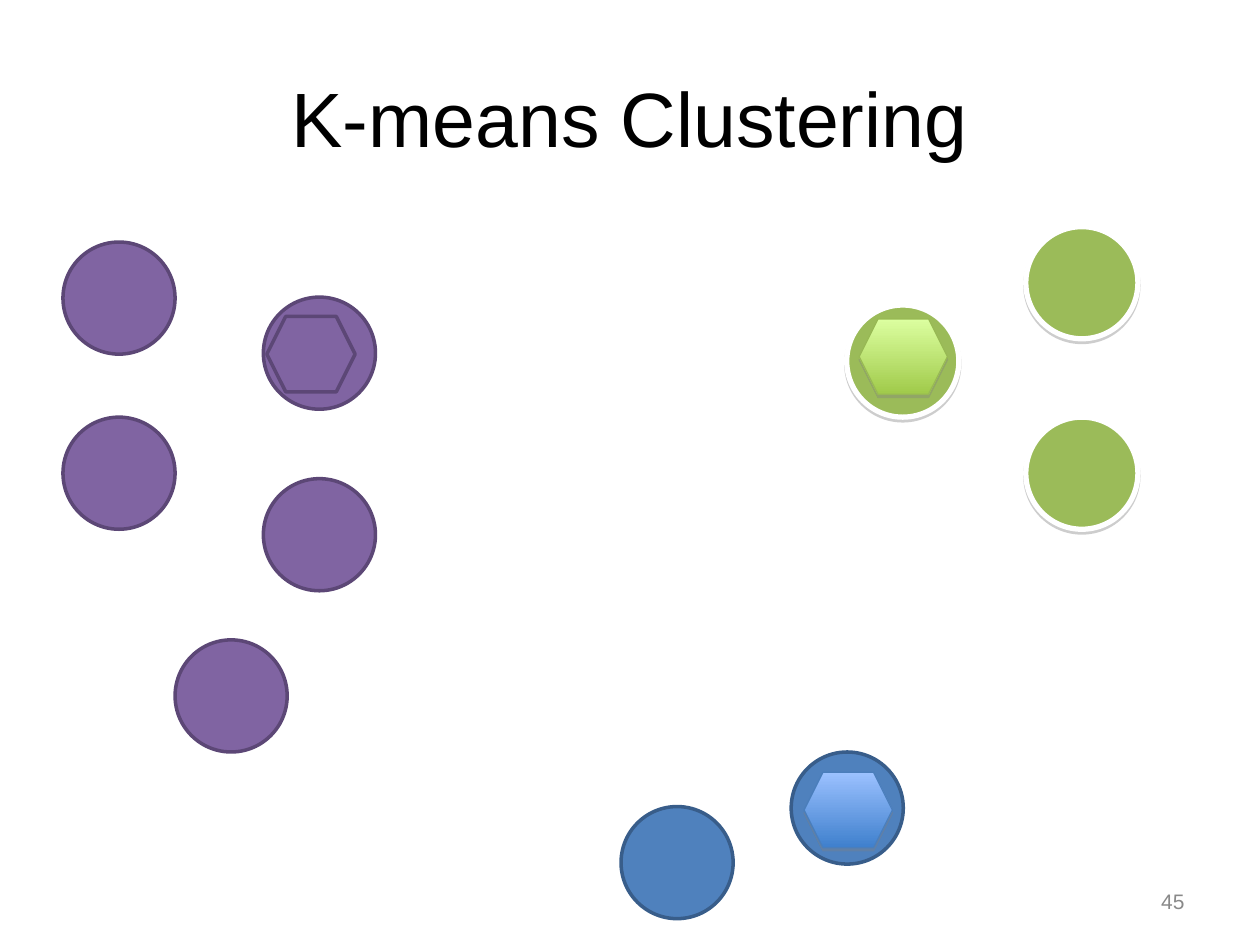
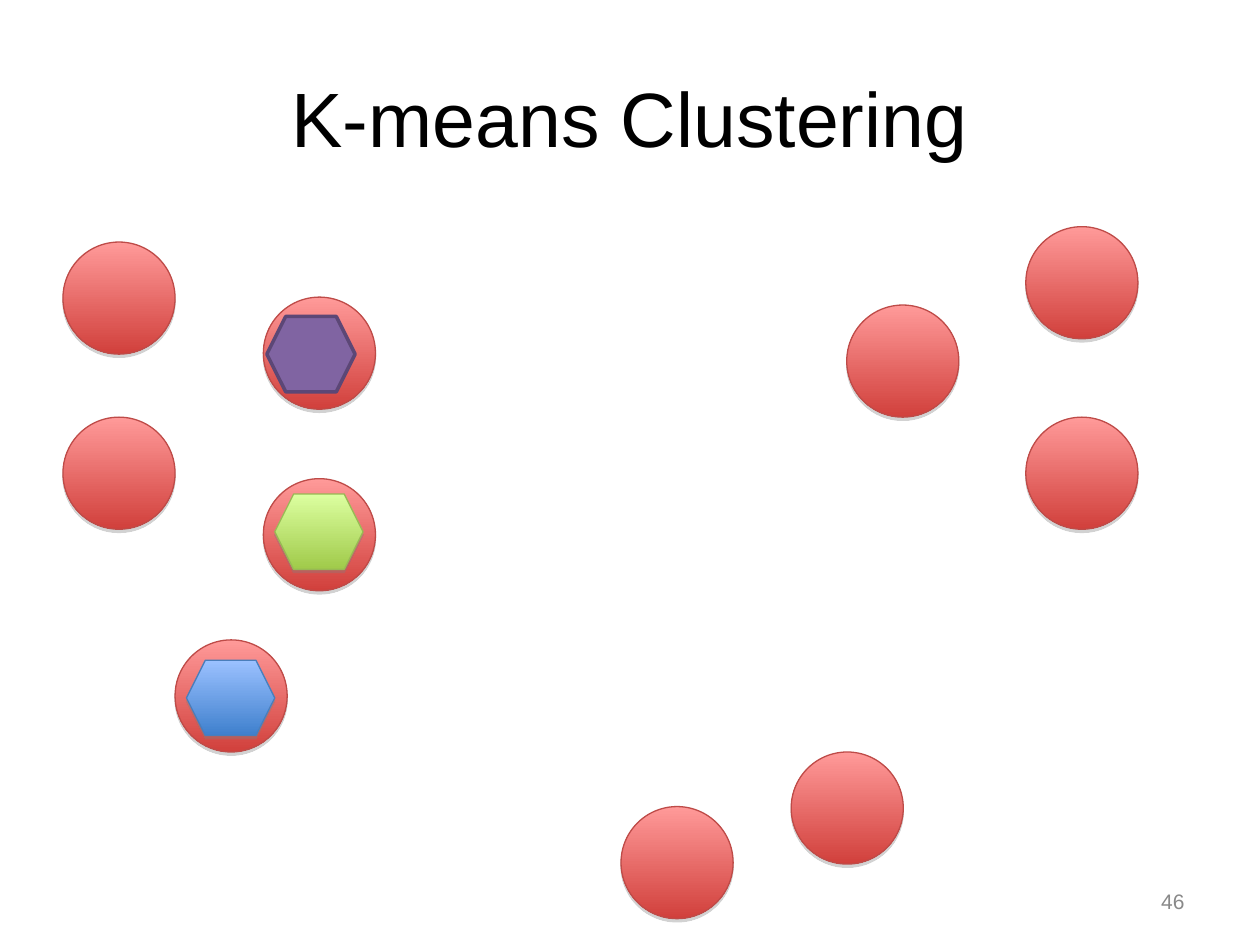
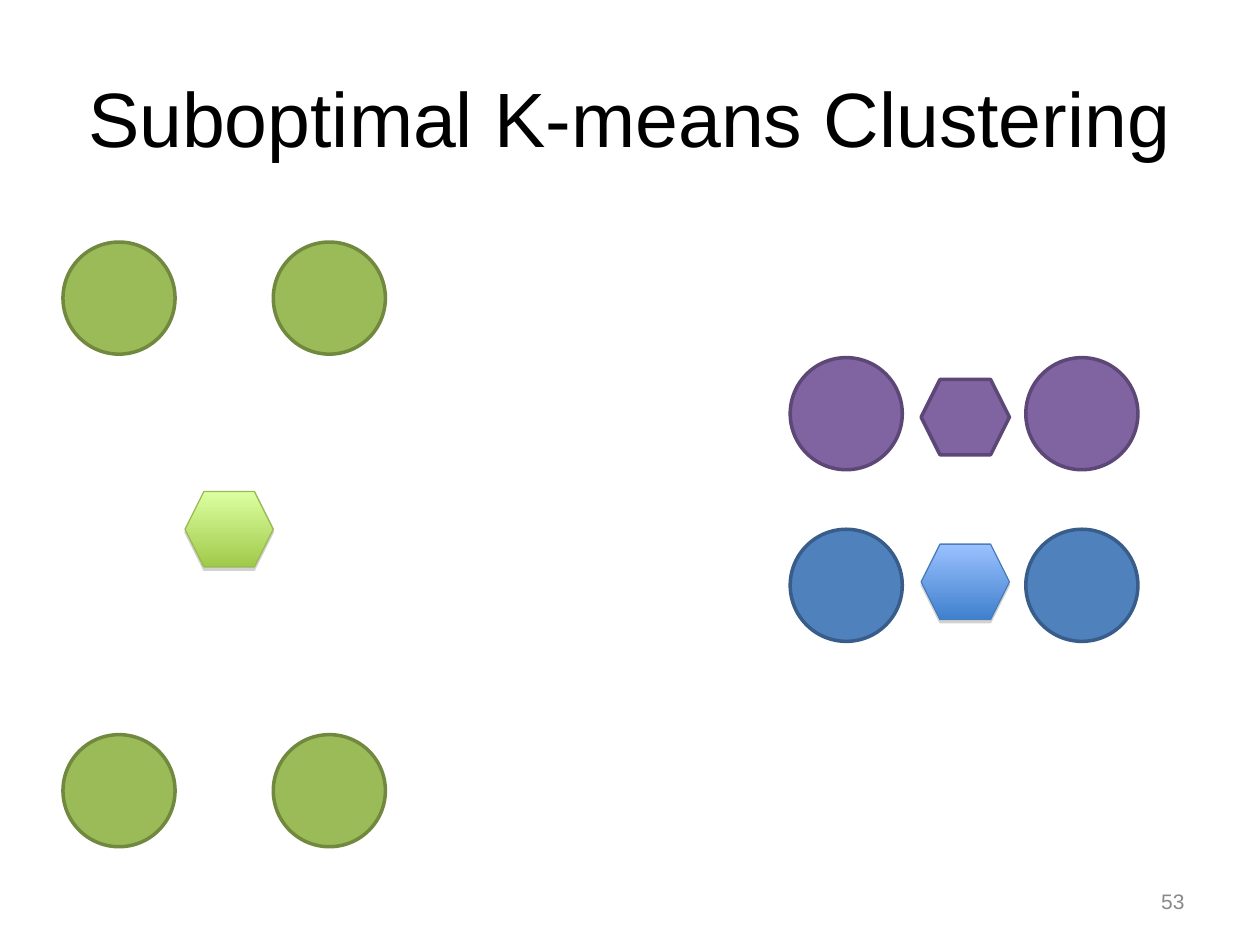
from dataclasses import dataclass
from typing import Optional

from lxml.etree import SubElement
from pptx import Presentation
from pptx.dml.color import RGBColor
from pptx.enum.shapes import MSO_SHAPE as Preset
from pptx.enum.text import MSO_ANCHOR as Anchor, PP_ALIGN as Align
from pptx.oxml.ns import qn
from pptx.util import Cm, Pt

FONT = "Arial"
BLACK, GREY, SHADOW = "000000", "898989", "808080"

# Boxes and sizes in cm: (left, top, width, height) and (width, height)
TITLE_BOX = (1.27, 0.76, 22.86, 3.18)
NUMBER_BOX = (18.21, 17.65, 5.92, 1.02)
POINT_SIZE = (2.26, 2.26)
CENTROID_SIZE = (1.78, 1.52)


@dataclass(frozen=True)
class Look:
    fill: tuple  # one colour, or top and bottom of a gradient
    line: str
    weight: float
    shadow: Optional[tuple] = None  # distance in pt, opacity in %


# Looks of the data points and the centroids
SOFT = (1.8, 35)
PURPLE = Look(("8064A2",), "5C4776", 2)
BLUE = Look(("4F81BD",), "385D8A", 2)
GREEN = Look(("9BBB59",), "71893F", 2)
GREEN_RAISED = Look(("9BBB59",), "FFFFFF", 3, (1.6, 38))
RED_GLOSS = Look(("FF9A99", "D1403C"), "BE4B48", 0.75, SOFT)
GREEN_GLOSS = Look(("DCFFA0", "A0CA4A"), "98B954", 0.75, SOFT)
BLUE_GLOSS = Look(("9BC1FF", "3F80CD"), "4A7EBB", 0.75, SOFT)

# Clusters of the main example: corner, and point offsets from it
LEFT_CORNER, RIGHT_CORNER, BOTTOM_CORNER = (1.27, 4.88), (17.07, 4.57), (12.52, 15.16)
LEFT_POINTS = [(0, 0), (0, 3.53), (4.04, 1.11), (2.26, 8.02), (4.04, 4.77)]
RIGHT_POINTS = [(3.61, 0), (0, 1.58), (3.61, 3.84)]
BOTTOM_POINTS = [(3.43, 0), (0, 1.1)]


def color(hex_code):
    return RGBColor.from_string(hex_code)


def add_label(slide, box, wording, size, hue, align):
    label = slide.shapes.add_textbox(*map(Cm, box))
    frame = label.text_frame
    frame.word_wrap = True
    frame.vertical_anchor = Anchor.MIDDLE
    frame.text = wording
    paragraph = frame.paragraphs[0]
    paragraph.alignment = align
    font = paragraph.runs[0].font
    font.name, font.size = FONT, Pt(size)
    font.color.rgb = color(hue)


def add_shadow(shape, distance, opacity):
    effects = shape._element.spPr.find(qn("a:effectLst"))
    outer = SubElement(effects, qn("a:outerShdw"), blurRad="0", dist=str(Pt(distance)),
                       dir="5400000", rotWithShape="0")
    tone = SubElement(outer, qn("a:srgbClr"), val=SHADOW)
    SubElement(tone, qn("a:alpha"), val=str(opacity * 1000))


def add_marks(slide, corner, preset, size, look, offsets):
    """Place equal marks at offsets from the corner of their cluster."""
    for across, down in offsets:
        mark = slide.shapes.add_shape(preset, Cm(corner[0] + across), Cm(corner[1] + down),
                                      *map(Cm, size))
        if len(look.fill) == 1:
            mark.fill.solid()
            mark.fill.fore_color.rgb = color(look.fill[0])
        else:
            mark.fill.gradient()
            mark.fill.gradient_angle = 270  # top to bottom
            for stop, hue in zip(mark.fill.gradient_stops, look.fill):
                stop.color.rgb = color(hue)
        mark.line.color.rgb = color(look.line)
        mark.line.width = Pt(look.weight)
        mark.shadow.inherit = False
        if look.shadow:
            add_shadow(mark, *look.shadow)


def add_points(slide, corner, look, offsets):
    add_marks(slide, corner, Preset.OVAL, POINT_SIZE, look, offsets)


def add_centroid(slide, corner, look, offset):
    add_marks(slide, corner, Preset.HEXAGON, CENTROID_SIZE, look, [offset])


def add_base(deck, title, number):
    slide = deck.slides.add_slide(deck.slide_layouts[6])
    add_label(slide, TITLE_BOX, title, 44, BLACK, Align.CENTER)
    add_label(slide, NUMBER_BOX, str(number), 12, GREY, Align.RIGHT)
    return slide


def add_example(deck, number, left_look, right_look, bottom_look):
    slide = add_base(deck, "K-means Clustering", number)
    add_points(slide, LEFT_CORNER, left_look, LEFT_POINTS)
    add_points(slide, RIGHT_CORNER, right_look, RIGHT_POINTS)
    add_points(slide, BOTTOM_CORNER, bottom_look, BOTTOM_POINTS)
    add_centroid(slide, LEFT_CORNER, PURPLE, (4.11, 1.5))
    return slide


def add_assigned(deck):
    slide = add_example(deck, 45, PURPLE, GREEN_RAISED, BLUE)
    add_centroid(slide, RIGHT_CORNER, GREEN_GLOSS, (0.25, 1.86))
    add_centroid(slide, BOTTOM_CORNER, BLUE_GLOSS, (3.69, 0.41))


def add_unassigned(deck):
    slide = add_example(deck, 46, RED_GLOSS, RED_GLOSS, RED_GLOSS)
    add_centroid(slide, LEFT_CORNER, GREEN_GLOSS, (4.27, 5.08))
    add_centroid(slide, LEFT_CORNER, BLUE_GLOSS, (2.49, 8.43))


def add_suboptimal(deck):
    slide = add_base(deck, "Suboptimal K-means Clustering", 53)
    # Corner, point columns and rows, point look, centroid look and offset
    clusters = [
        ((1.27, 4.88), (0, 4.24), (0, 9.93), GREEN, GREEN_GLOSS, (2.46, 5.03)),
        ((15.93, 7.21), (0, 4.75), (0,), PURPLE, PURPLE, (2.64, 0.44)),
        ((15.93, 10.67), (0, 4.75), (0,), BLUE, BLUE_GLOSS, (2.64, 0.3)),
    ]
    for corner, columns, rows, point_look, centroid_look, center in clusters:
        add_points(slide, corner, point_look, [(x, y) for y in rows for x in columns])
        add_centroid(slide, corner, centroid_look, center)


def main():
    deck = Presentation()
    deck.slide_width, deck.slide_height = Cm(25.4), Cm(19.05)
    add_assigned(deck)
    add_unassigned(deck)
    add_suboptimal(deck)
    deck.save("out.pptx")


if __name__ == "__main__":
    main()
